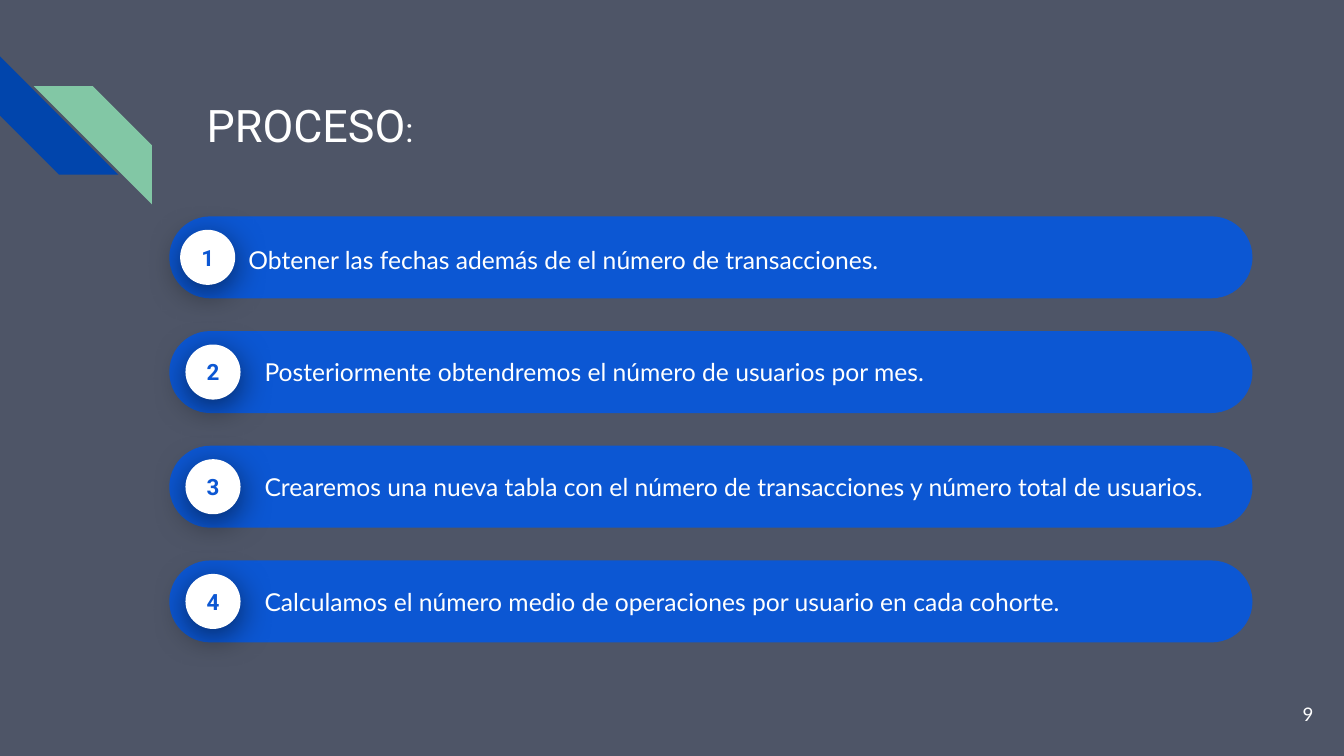
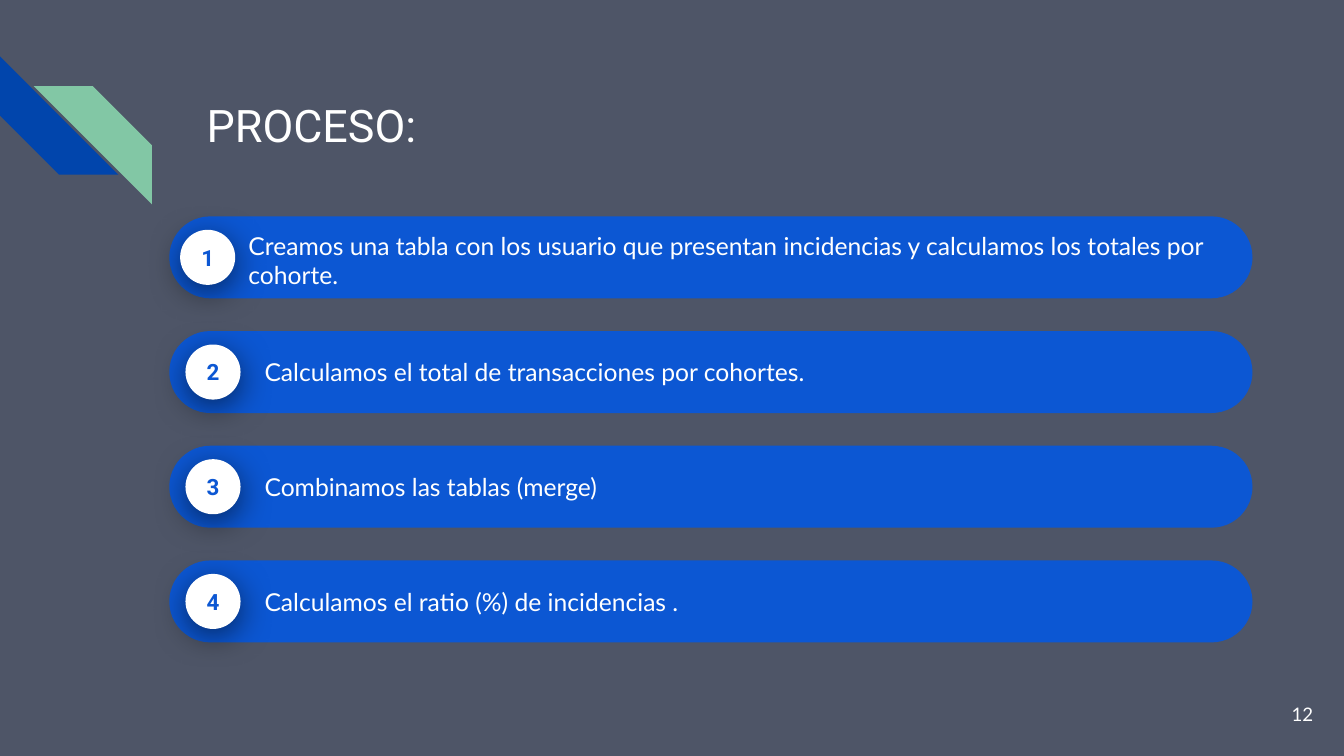
from dataclasses import dataclass

from lxml.etree import SubElement
from pptx import Presentation
from pptx.dml.color import RGBColor
from pptx.enum.shapes import MSO_SHAPE
from pptx.enum.text import MSO_ANCHOR, PP_ALIGN
from pptx.oxml.ns import qn
from pptx.util import Inches, Pt


@dataclass(frozen=True)
class Theme:
    background: str = "4E5567"
    bar: str = "0C57D3"
    stripe_blue: str = "0145AC"
    stripe_green: str = "82C7A5"
    white: str = "FFFFFF"
    shadow: str = "000000"
    heading_font: str = "Roboto"
    body_font: str = "Lato"
    title_size: float = 24
    small_colon_size: float = 18
    step_size: float = 13.2
    badge_size: float = 12
    page_size: float = 10


@dataclass(frozen=True)
class Box:
    left: float
    top: float
    width: float
    height: float

    def inner(self, left, top, width, height):
        return Box(self.left + left, self.top + top, width, height)

    def lengths(self):
        return [Inches(n) for n in (self.left, self.top, self.width, self.height)]


@dataclass(frozen=True)
class StepLayout:
    badge_left: float
    text_left: float
    text_width: float
    text_height: float = 0.43
    text_drop: float = 0


THEME = Theme()
SLIDE_WIDTH = 10
SLIDE_HEIGHT = SLIDE_WIDTH * 9 / 16
CORNER = Box(0, 0.42, 1.13, 1.1)
TITLE = Box(1.44, 0.63, 7.7, 0.61)
STEPS = Box(1.26, 1.61, 8.06, 3.17)
PAGE_NUMBER = Box(9.27, 5.1, 0.6, 0.43)
STRIPE_SIDE = 0.88
BAR_HEIGHT = 0.61
BADGE_SIDE = 0.41
STEP_LAYOUTS = [
    StepLayout(0.08, 0.49, 7.31, 0.48, 0.02),
    StepLayout(0.12, 0.61, 7.17),
    StepLayout(0.12, 0.61, 7.45),
    StepLayout(0.12, 0.61, 7.27),
]

SLIDES = [
    (
        [("PROCESO", THEME.title_size), (":", THEME.small_colon_size)],
        [
            "Obtener las fechas además de el número de transacciones.",
            "Posteriormente obtendremos el número de usuarios por mes.",
            "Crearemos una nueva tabla con el número de transacciones y número total de usuarios.",
            "Calculamos el número medio de operaciones por usuario en cada cohorte.",
        ],
        9,
    ),
    (
        [("PROCESO:", THEME.title_size)],
        [
            "Creamos una tabla con los usuario que presentan incidencias y calculamos los totales por cohorte.",
            "Calculamos el total de transacciones por cohortes.",
            "Combinamos las tablas (merge)",
            "Calculamos el ratio (%) de incidencias .",
        ],
        12,
    ),
]


def add_filled(slide, preset, box, color):
    shape = slide.shapes.add_shape(preset, *box.lengths())
    shape.shadow.inherit = False
    shape.fill.solid()
    shape.fill.fore_color.rgb = RGBColor.from_string(color)
    shape.line.fill.background()
    return shape


def prepare_frame(shape, anchor=MSO_ANCHOR.MIDDLE):
    frame = shape.text_frame
    frame.word_wrap = True
    frame.vertical_anchor = anchor
    frame.margin_left = frame.margin_right = Inches(0.1)
    frame.margin_top = frame.margin_bottom = Inches(0.1)
    return frame


def style_font(font, name, color, size=None, bold=False):
    font.name = name
    font.color.rgb = RGBColor.from_string(color)
    font.bold = bold
    if size:
        font.size = Pt(size)


def write_line(shape, text, name, size, color, align=PP_ALIGN.LEFT, bold=False):
    paragraph = prepare_frame(shape).paragraphs[0]
    paragraph.text = text
    paragraph.alignment = align
    style_font(paragraph.font, name, color, size, bold)


def add_drop_shadow(shape):
    effects = shape.element.spPr.find(qn("a:effectLst"))
    shadow = SubElement(
        effects, qn("a:outerShdw"), blurRad=str(Pt(18)), dist=str(Pt(4)),
        dir="5400000", algn="bl", rotWithShape="0",
    )
    color = SubElement(shadow, qn("a:srgbClr"), val=THEME.shadow)
    SubElement(color, qn("a:alpha"), val="55000")


def draw_corner(slide, box):
    for left, top, rotation, color in (
        (0, 0, 270, THEME.stripe_blue),
        (0.25, 0.22, 90, THEME.stripe_green),
    ):
        stripe = add_filled(
            slide, MSO_SHAPE.DIAGONAL_STRIPE,
            box.inner(left, top, STRIPE_SIDE, STRIPE_SIDE), color,
        )
        stripe.adjustments[0] = 0.5
        stripe.rotation = rotation


def draw_title(slide, box, title_parts):
    title = slide.shapes.add_textbox(*box.lengths())
    paragraph = prepare_frame(title, MSO_ANCHOR.TOP).paragraphs[0]
    style_font(paragraph.font, THEME.heading_font, THEME.white)
    for text, size in title_parts:
        part = paragraph.add_run()
        part.text = text
        part.font.size = Pt(size)


def draw_step(slide, box, number, text, layout):
    bar = add_filled(slide, MSO_SHAPE.ROUNDED_RECTANGLE, box, THEME.bar)
    bar.adjustments[0] = 0.5

    badge_box = box.inner(
        layout.badge_left, (box.height - BADGE_SIDE) / 2, BADGE_SIDE, BADGE_SIDE
    )
    badge = add_filled(slide, MSO_SHAPE.OVAL, badge_box, THEME.white)
    add_drop_shadow(badge)
    write_line(badge, str(number), THEME.heading_font, THEME.badge_size,
               THEME.bar, PP_ALIGN.CENTER, bold=True)

    text_box = box.inner(
        layout.text_left, (box.height - layout.text_height) / 2 + layout.text_drop,
        layout.text_width, layout.text_height,
    )
    description = slide.shapes.add_textbox(*text_box.lengths())
    write_line(description, text, THEME.body_font, THEME.step_size, THEME.white)


def draw_steps(slide, box, steps):
    pitch = (box.height - BAR_HEIGHT) / (len(steps) - 1)
    for index, (text, layout) in enumerate(zip(steps, STEP_LAYOUTS)):
        step_box = box.inner(0, index * pitch, box.width, BAR_HEIGHT)
        draw_step(slide, step_box, index + 1, text, layout)


def draw_page_number(slide, box, number):
    page = slide.shapes.add_textbox(*box.lengths())
    write_line(page, str(number), THEME.body_font, THEME.page_size,
               THEME.white, PP_ALIGN.RIGHT)


def build_process_slide(deck, title_parts, steps, page_number):
    slide = deck.slides.add_slide(deck.slide_layouts[6])
    slide.background.fill.solid()
    slide.background.fill.fore_color.rgb = RGBColor.from_string(THEME.background)
    draw_corner(slide, CORNER)
    draw_steps(slide, STEPS, steps)
    draw_page_number(slide, PAGE_NUMBER, page_number)
    draw_title(slide, TITLE, title_parts)


def main():
    deck = Presentation()
    deck.slide_width = Inches(SLIDE_WIDTH)
    deck.slide_height = Inches(SLIDE_HEIGHT)
    for title_parts, steps, page_number in SLIDES:
        build_process_slide(deck, title_parts, steps, page_number)
    deck.save("out.pptx")


if __name__ == "__main__":
    main()
